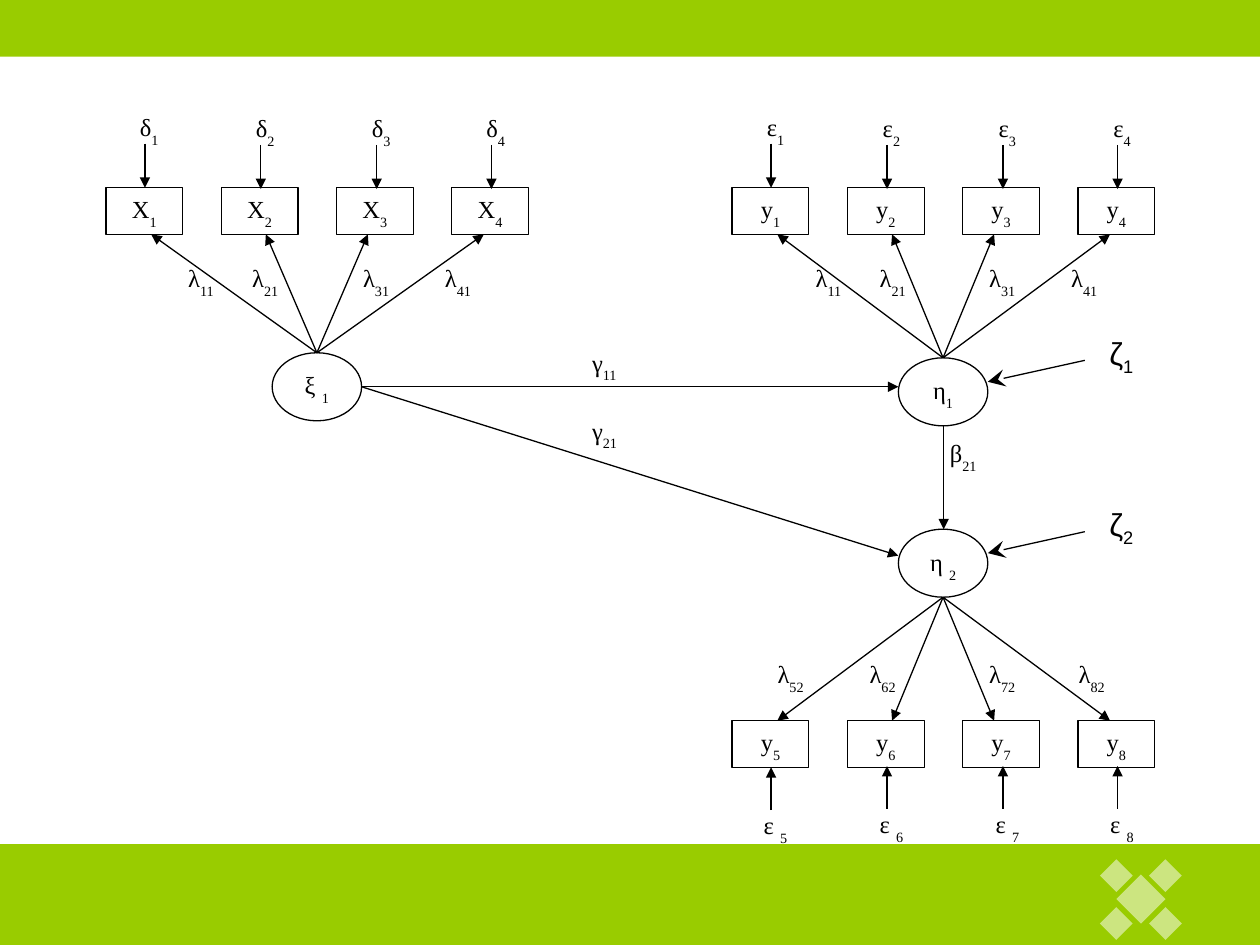
from dataclasses import dataclass

from lxml.etree import SubElement
from pptx import Presentation
from pptx.dml.color import RGBColor
from pptx.enum.shapes import MSO_CONNECTOR, MSO_SHAPE
from pptx.enum.text import MSO_ANCHOR, PP_ALIGN
from pptx.oxml.ns import qn
from pptx.util import Inches, Pt

BLACK = RGBColor(0x00, 0x00, 0x00)
WHITE = RGBColor(0xFF, 0xFF, 0xFF)
GREEN = RGBColor(0x99, 0xCC, 0x00)

# Column positions within a block, measured from its left edge
INDICATOR_STEP = 0.915
INDICATOR_WIDTH, INDICATOR_HEIGHT = 0.61, 0.37
ERROR_X = (0.31, 1.23, 2.15, 3.06)
LOADING_TIP_X = (0.36, 1.27, 2.08, 3.0)
LATENT_X, LATENT_WIDTH, LATENT_HEIGHT = 1.32, 0.71, 0.54
LABEL_HEIGHT = 0.36


@dataclass
class Symbol:
    letter: str
    index: str


@dataclass
class Block:
    """A latent variable with its four indicators and error terms."""
    left: float
    latent: Symbol
    latent_top: float
    indicator: str
    indicator_top: float
    error: str
    error_label_top: float
    error_start: float
    error_end: float
    first_nudge: float
    first_index: int
    loadings: tuple[str, ...]
    loading_x: tuple[float, ...]
    loading_top: float


BLOCKS = (
    Block(0.84, Symbol("ξ ", "1"), 2.8, "X", 1.49, "δ", 0.85, 1.15, 1.5, -0.01, 1,
          ("11", "21", "31", "41"), (0.4, 0.91, 1.79, 2.44), 2.04),
    Block(5.81, Symbol("η", "1"), 2.84, "y", 1.49, "ε", 0.85, 1.15, 1.5, -0.01, 1,
          ("11", "21", "31", "41"), (0.41, 0.92, 1.79, 2.44), 2.04),
    Block(5.81, Symbol("η ", "2"), 4.2, "y", 5.72, "ε ", 6.37, 6.42, 6.08, 0.01, 5,
          ("52", "62", "72", "82"), (0.11, 0.84, 1.79, 2.5), 5.18),
)


def write_symbol(frame, symbol: Symbol, size: int = 14, font: str = "Times New Roman",
                 baseline: int = -36, align=PP_ALIGN.CENTER) -> None:
    para = frame.paragraphs[0]
    para.alignment = align
    for text, offset in ((symbol.letter, 0), (symbol.index, baseline)):
        span = para.add_run()
        span.text = text
        span.font.size = Pt(size)
        span.font.name = font
        span.font.color.rgb = BLACK
        if offset:
            span.font._element.set("baseline", str(offset * 1000))


def add_label(page, symbol: Symbol, left: float, top: float, width: float,
              align=PP_ALIGN.CENTER) -> None:
    box = page.shapes.add_textbox(Inches(left), Inches(top), Inches(width), Inches(LABEL_HEIGHT))
    box.text_frame.word_wrap = True
    write_symbol(box.text_frame, symbol, align=align)


def add_filled(page, kind, left: float, top: float, width: float, height: float,
               color: RGBColor, opacity: int = 100) -> None:
    shape = page.shapes.add_shape(kind, Inches(left), Inches(top), Inches(width), Inches(height))
    shape.shadow.inherit = False
    shape.line.fill.background()
    shape.fill.solid()
    shape.fill.fore_color.rgb = color
    if opacity < 100:
        color_element = shape._element.spPr.find(qn("a:solidFill"))[0]
        SubElement(color_element, qn("a:alpha")).set("val", str(opacity * 1000))


def add_outlined(page, kind, left: float, top: float, width: float, height: float):
    shape = page.shapes.add_shape(kind, Inches(left), Inches(top), Inches(width), Inches(height))
    shape.shadow.inherit = False
    shape.fill.background()
    shape.line.color.rgb = BLACK
    shape.line.width = Pt(0.75)
    return shape


def add_arrow(page, start: tuple[float, float], end: tuple[float, float],
              head: str = "triangle", head_size: str = "med") -> None:
    arrow = page.shapes.add_connector(MSO_CONNECTOR.STRAIGHT, Inches(start[0]), Inches(start[1]),
                                      Inches(end[0]), Inches(end[1]))
    arrow.line.color.rgb = BLACK
    arrow.line.width = Pt(0.75)
    tip = SubElement(arrow.line._get_or_add_ln(), qn("a:tailEnd"))
    tip.set("type", head)
    tip.set("w", head_size)
    tip.set("len", head_size)
    SubElement(arrow._element.spPr, qn("a:effectLst"))


def add_block(page, block: Block) -> None:
    # Latent variable
    latent_left = block.left + LATENT_X
    add_outlined(page, MSO_SHAPE.OVAL, latent_left, block.latent_top, LATENT_WIDTH, LATENT_HEIGHT)
    add_label(page, block.latent, latent_left + 0.09, block.latent_top + 0.09, 0.53)

    # Loadings run between the facing edges of latent and indicators
    above = block.indicator_top < block.latent_top
    apex_y = block.latent_top + (0 if above else LATENT_HEIGHT)
    tip_y = block.indicator_top + (INDICATOR_HEIGHT if above else 0)
    apex = (latent_left + LATENT_WIDTH / 2, apex_y)

    for column, loading in enumerate(block.loadings):
        index = str(block.first_index + column)
        box = add_outlined(page, MSO_SHAPE.RECTANGLE, block.left + column * INDICATOR_STEP,
                           block.indicator_top, INDICATOR_WIDTH, INDICATOR_HEIGHT)
        box.text_frame.word_wrap = True
        box.text_frame.vertical_anchor = MSO_ANCHOR.TOP
        write_symbol(box.text_frame, Symbol(block.indicator, index))

        add_arrow(page, apex, (block.left + LOADING_TIP_X[column], tip_y))
        add_label(page, Symbol("λ", loading), block.left + block.loading_x[column],
                  block.loading_top, 0.71)

        # Error term
        nudge = block.first_nudge if column == 0 else 0
        error_x = block.left + ERROR_X[column]
        add_arrow(page, (error_x, block.error_start + nudge), (error_x, block.error_end + nudge))
        add_label(page, Symbol(block.error, index), error_x - 0.22,
                  block.error_label_top + nudge, 0.51)


def add_disturbance(page, index: str, top: float) -> None:
    add_arrow(page, (8.61, top + 0.25), (7.84, top + 0.42), "stealth", "lg")
    box = page.shapes.add_textbox(Inches(8.61), Inches(top), Inches(0.58), Inches(0.42))
    box.text_frame.word_wrap = False
    box.text_frame.vertical_anchor = MSO_ANCHOR.MIDDLE
    write_symbol(box.text_frame, Symbol("ζ", index), 18, "Arial", -25)


def main() -> None:
    deck = Presentation()
    deck.slide_width, deck.slide_height = Inches(10), Inches(7.5)
    page = deck.slides.add_slide(deck.slide_layouts[6])

    # Bands and diamond ornament
    add_filled(page, MSO_SHAPE.RECTANGLE, 0, -0.02, 10, 0.47, GREEN)
    add_filled(page, MSO_SHAPE.RECTANGLE, 0, 6.7, 10, 0.8, GREEN)
    add_filled(page, MSO_SHAPE.DIAMOND, 8.86, 6.94, 0.39, 0.39, WHITE, 50)
    for top in (7.2, 6.82):
        for left in (8.73, 9.12):
            add_filled(page, MSO_SHAPE.DIAMOND, left, top, 0.26, 0.26, WHITE, 50)

    # Measurement models
    for block in BLOCKS:
        add_block(page, block)

    # Structural paths
    add_arrow(page, (2.87, 3.07), (7.13, 3.07))
    add_arrow(page, (7.49, 3.38), (7.49, 4.2))
    add_arrow(page, (2.87, 3.07), (7.13, 4.41))
    for symbol, left, top in ((Symbol("γ", "11"), 4.6, 2.71), (Symbol("γ", "21"), 4.6, 3.25),
                              (Symbol("β", "21"), 7.44, 3.43)):
        add_label(page, symbol, left, top, 0.81, PP_ALIGN.LEFT)

    # Disturbances
    add_disturbance(page, "1", 2.61)
    add_disturbance(page, "2", 3.97)

    deck.save("out.pptx")


if __name__ == "__main__":
    main()
